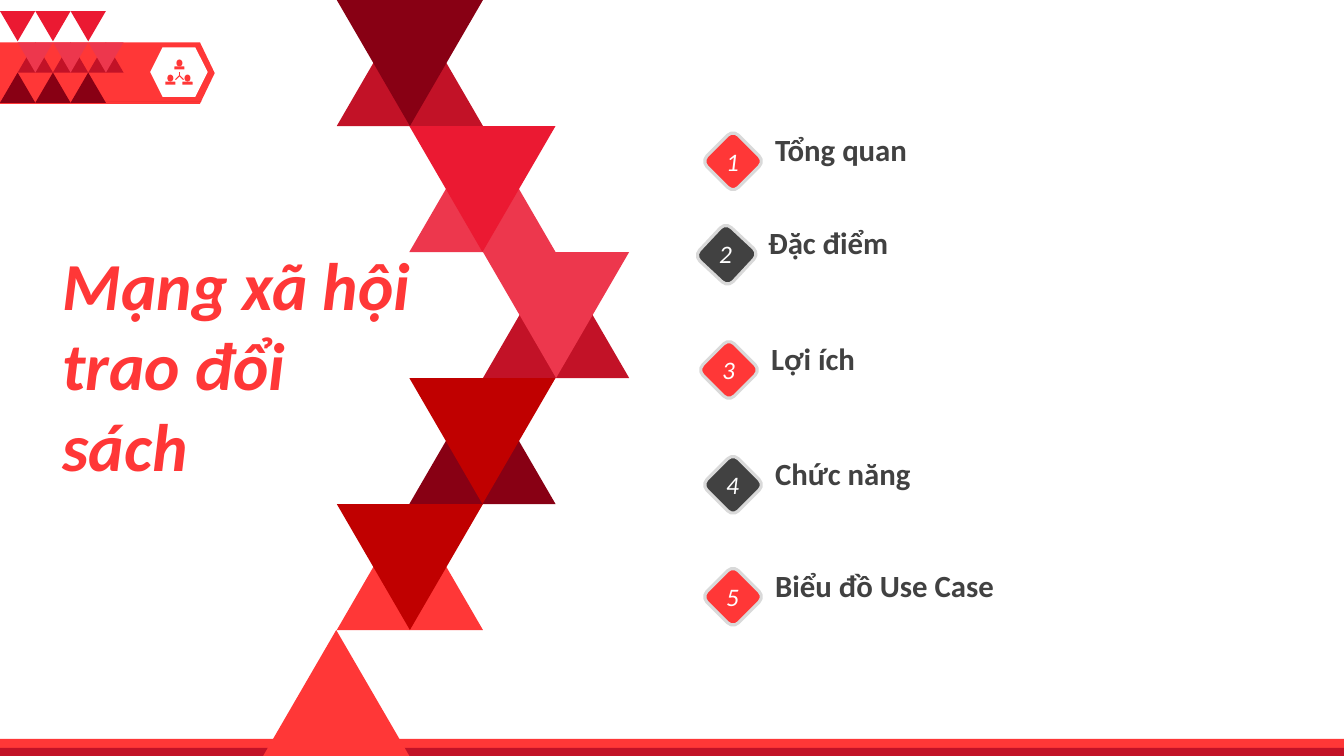
from typing import NamedTuple

from lxml.etree import SubElement
from pptx import Presentation
from pptx.dml.color import RGBColor
from pptx.enum.shapes import MSO_CONNECTOR, MSO_SHAPE as Preset
from pptx.enum.text import MSO_ANCHOR, PP_ALIGN
from pptx.oxml.ns import qn
from pptx.shapes.autoshape import Shape
from pptx.slide import Slide
from pptx.text.text import TextFrame
from pptx.util import Inches, Pt

FONT = "Calibri"
COLORS = {
    "red": "FF3737",
    "crimson": "C21227",
    "maroon": "880014",
    "scarlet": "EB1932",
    "rose": "ED374D",
    "blood": "C00000",
    "dark": "414141",
    "silver": "D9D9D9",
    "white": "FFFFFF",
}


class Box(NamedTuple):
    left: float
    top: float
    width: float
    height: float


class TrianglePair(NamedTuple):
    left: float
    upright: str
    inverted: str


class AgendaItem(NamedTuple):
    label: str
    left: float
    top: float
    color: str
    size: float = 0.44
    rotation: float = 45


TRIANGLE_PAIRS = [
    TrianglePair(3.34, "crimson", "maroon"),
    TrianglePair(4.06, "rose", "scarlet"),
    TrianglePair(4.79, "crimson", "rose"),
    TrianglePair(4.06, "maroon", "blood"),
    TrianglePair(3.34, "red", "blood"),
]
AGENDA = [
    AgendaItem("Tổng quan", 7.05, 1.38, "red"),
    AgendaItem("Đặc điểm", 6.98, 2.3, "dark", 0.455, 43),
    AgendaItem("Lợi ích", 7.01, 3.45, "red"),
    AgendaItem("Chức năng", 7.05, 4.59, "dark"),
    AgendaItem("Biểu đồ Use Case", 7.05, 5.7, "red"),
]


def color(name: str) -> RGBColor:
    return RGBColor.from_string(COLORS[name])


def paint(shape: Shape, fill: str) -> None:
    shape.shadow.inherit = False
    shape.fill.solid()
    shape.fill.fore_color.rgb = color(fill)
    shape.line.fill.background()


def add_preset(slide: Slide, preset: Preset, box: Box, fill: str, rotation: float = 0) -> Shape:
    shape = slide.shapes.add_shape(preset, *map(Inches, box))
    paint(shape, fill)
    shape.rotation = rotation
    return shape


def add_triangle(slide: Slide, box: Box, fill: str, inverted: bool = False) -> None:
    add_preset(slide, Preset.ISOSCELES_TRIANGLE, box, fill, 180 if inverted else 0)


def write(frame: TextFrame, text: str, size: float, fill: str, bold: bool = False,
          italic: bool = False, align: PP_ALIGN = PP_ALIGN.LEFT, wrap: bool = True) -> None:
    frame.text = text
    frame.word_wrap = wrap
    frame.vertical_anchor = MSO_ANCHOR.TOP
    paragraph = frame.paragraphs[0]
    paragraph.alignment = align
    font = paragraph.runs[0].font
    font.name, font.size = FONT, Pt(size)
    font.bold, font.italic = bold, italic
    font.color.rgb = color(fill)


def add_network_icon(slide: Slide) -> None:
    for center, top in ((1.78, 0.59), (1.69, 0.74), (1.86, 0.74)):
        add_preset(slide, Preset.OVAL, Box(center - 0.03, top, 0.06, 0.07), "red")
        add_preset(slide, Preset.ROUND_2_SAME_RECTANGLE,
                   Box(center - 0.05, top + 0.07, 0.1, 0.03), "red")
    for end_x, end_y in ((1.78, 0.71), (1.74, 0.79), (1.82, 0.79)):
        link = slide.shapes.add_connector(
            MSO_CONNECTOR.STRAIGHT, *map(Inches, (1.78, 0.75, end_x, end_y)))
        link.line.color.rgb = color("red")
        link.line.width = Pt(0.75)
        SubElement(link.element.spPr, qn("a:effectLst"))


def add_corner_badge(slide: Slide) -> None:
    badge = add_preset(slide, Preset.PENTAGON, Box(0, 0.42, 2.13, 0.61), "red")
    badge.adjustments[0] = 0.24
    builder = slide.shapes.build_freeform(0, 0.72, scale=Inches(1))
    builder.add_line_segments([(2.13, 0.72), (1.98, 1.02), (0, 1.02)])
    paint(builder.convert_to_shape(), "crimson")
    add_preset(slide, Preset.HEXAGON, Box(1.49, 0.47, 0.57, 0.49), "white")
    add_network_icon(slide)
    width, height = 0.35, 0.3
    for column in range(3):
        left = column * width
        middle = Box(left + width / 2, 0.42, width, height)
        add_triangle(slide, Box(left, 0.11, width, height), "scarlet", True)
        add_triangle(slide, middle, "crimson")
        add_triangle(slide, middle, "rose", True)
        add_triangle(slide, Box(left, 0.72, width, height), "maroon")


def add_triangle_column(slide: Slide) -> None:
    width, height = 1.45, 1.25
    for row, pair in enumerate(TRIANGLE_PAIRS):
        box = Box(pair.left, row * height, width, height)
        add_triangle(slide, box, pair.upright)
        add_triangle(slide, box, pair.inverted, True)
    add_triangle(slide, Box(2.61, len(TRIANGLE_PAIRS) * height, width, height), "red")


def add_agenda_item(slide: Slide, number: int, item: AgendaItem) -> None:
    label = slide.shapes.add_textbox(
        *map(Inches, (item.left + 0.54, item.top - 0.13, 3.8, 0.47)))
    write(label.text_frame, item.label, 22, "dark", bold=True)
    diamond = add_preset(slide, Preset.ROUNDED_RECTANGLE,
                         Box(item.left, item.top, item.size, item.size),
                         item.color, item.rotation)
    diamond.line.color.rgb = color("silver")
    diamond.line.width = Pt(2.25)
    digit = slide.shapes.add_textbox(
        *map(Inches, (item.left + 0.04, item.top + 0.02, 0.35, 0.4)))
    write(digit.text_frame, str(number), 18, "white", italic=True,
          align=PP_ALIGN.CENTER, wrap=False)


def add_title(slide: Slide) -> None:
    title = slide.shapes.title
    title.left, title.top, title.width, title.height = map(Inches, (0.52, 2.36, 3.73, 2.5))
    write(title.text_frame, "Mạng xã hội trao đổi sách", 48, "red", bold=True, italic=True)


def main() -> None:
    presentation = Presentation()
    presentation.slide_width = Inches(13.33)
    presentation.slide_height = Inches(7.5)
    slide = presentation.slides.add_slide(presentation.slide_layouts[5])
    add_corner_badge(slide)
    add_preset(slide, Preset.RECTANGLE, Box(0, 7.33, 13.33, 0.16), "red")
    add_preset(slide, Preset.RECTANGLE, Box(0, 7.42, 13.33, 0.08), "crimson")
    add_triangle_column(slide)
    add_title(slide)
    for number, item in enumerate(AGENDA, start=1):
        add_agenda_item(slide, number, item)
    presentation.save("out.pptx")


if __name__ == "__main__":
    main()
